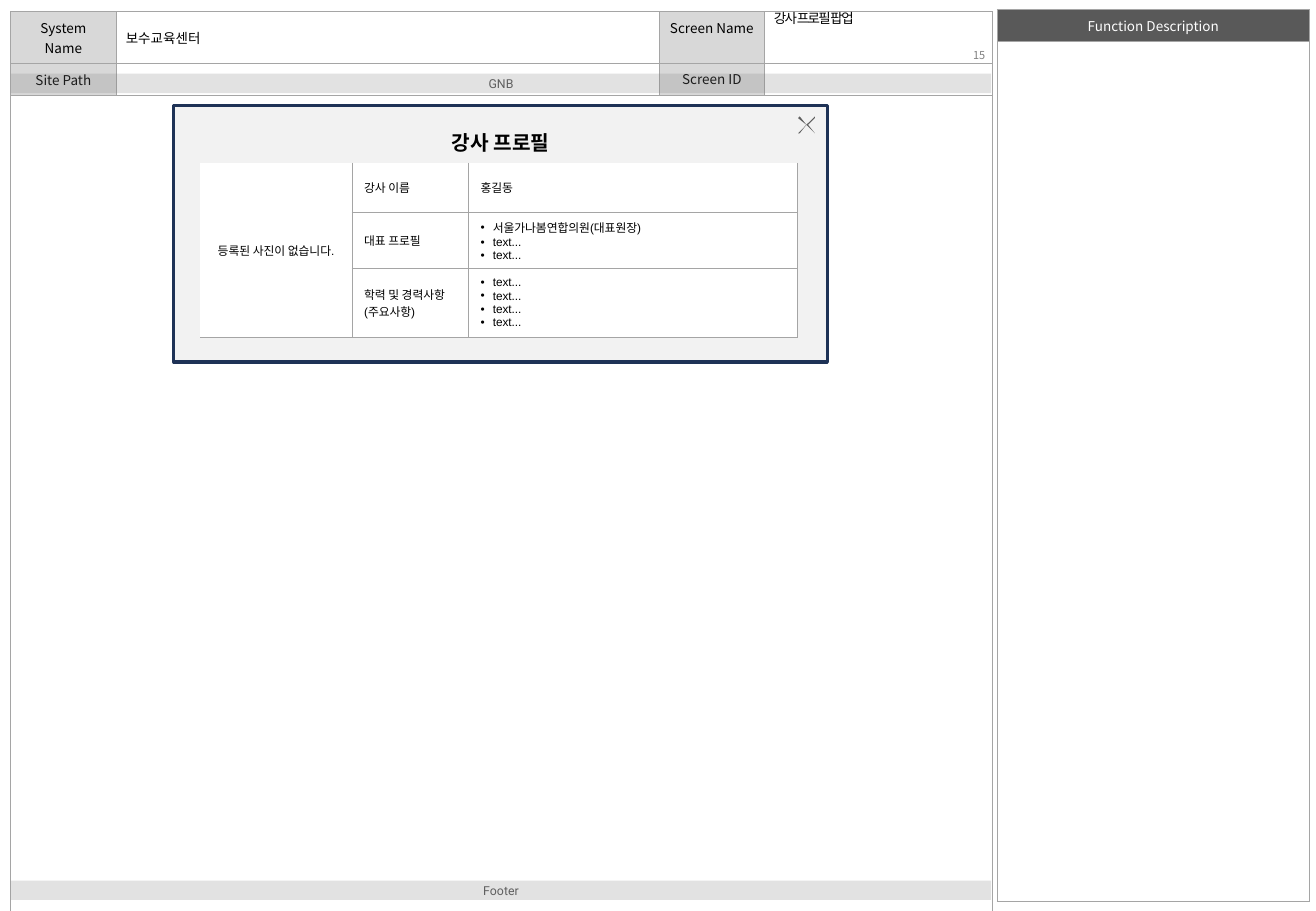
"""Build the instructor profile popup page of a screen plan."""
from dataclasses import dataclass

from lxml.etree import SubElement
from pptx import Presentation
from pptx.dml.color import RGBColor
from pptx.enum.shapes import MSO_SHAPE
from pptx.enum.text import MSO_ANCHOR, MSO_AUTO_SIZE, PP_ALIGN
from pptx.oxml import parse_xml
from pptx.oxml.ns import nsdecls, qn
from pptx.shapes.autoshape import Shape
from pptx.slide import Slide
from pptx.table import _Cell
from pptx.text.text import TextFrame
from pptx.util import Pt

BLACK = RGBColor(0x00, 0x00, 0x00)
WHITE = RGBColor(0xFF, 0xFF, 0xFF)
DARK = RGBColor(0x59, 0x59, 0x59)
SLATE = RGBColor(0x5F, 0x5F, 0x5F)
GREY = RGBColor(0x7F, 0x7F, 0x7F)
LABEL = RGBColor(0xD8, 0xD8, 0xD8)
PANEL = RGBColor(0xF2, 0xF2, 0xF2)
NAVY = RGBColor(0x1E, 0x32, 0x56)
RULE = RGBColor(0xA5, 0xA5, 0xA5)
NOTO = "Noto Sans CJK KR"
TIGHT = (5.76, 2.88, 5.76, 2.88)
SNUG = (5.76, 3.6, 5.76, 3.6)
WIDE = (7.2, 3.6, 7.2, 3.6)


@dataclass
class Item:
    """Describe one table cell."""
    row: int
    col: int
    text: str
    fill: RGBColor | None = None
    color: RGBColor = BLACK
    align: PP_ALIGN = PP_ALIGN.LEFT
    anchor: MSO_ANCHOR = MSO_ANCHOR.MIDDLE
    pad: tuple[float, ...] = SNUG
    bullet: bool = False


@dataclass
class Grid:
    """Describe one table."""
    left: float
    top: float
    cols: list[float]
    rows: list[float]
    items: list[Item]
    font: str = NOTO
    size: float = 8
    line: float = 0.75
    span: tuple[int, int, int, int] | None = None
    open: bool = False


@dataclass
class Band:
    """Describe one translucent page band."""
    top: float
    text: str


def write(frame: TextFrame, text: str, *, size: float, font: str = NOTO,
          color: RGBColor = BLACK, bold: bool = False, align: PP_ALIGN = PP_ALIGN.LEFT,
          anchor: MSO_ANCHOR = MSO_ANCHOR.MIDDLE, pad: tuple[float, ...] | None = None,
          wrap: bool = True, bullet: bool = False, track: float = 0,
          space: float | None = None) -> None:
    """Put formatted text in a frame."""
    frame.auto_size = MSO_AUTO_SIZE.NONE
    frame.word_wrap = wrap
    frame.vertical_anchor = anchor
    if pad:
        (frame.margin_left, frame.margin_top,
         frame.margin_right, frame.margin_bottom) = map(Pt, pad)
    frame.text = text
    for para in frame.paragraphs:
        para.alignment = align
        if space:
            para.line_spacing = space
        if bullet:
            props = para._p.get_or_add_pPr()
            props.set("marL", str(Pt(7.2)))
            props.set("indent", str(-Pt(7.2)))
            SubElement(props, qn("a:buFont"), typeface="Arial")
            SubElement(props, qn("a:buChar"), char="•")
        for run in para.runs:
            face = run.font
            face.size, face.name, face.bold = Pt(size), font, bold
            face.color.rgb = color
            mark = run._r.get_or_add_rPr()
            SubElement(mark, qn("a:ea"), typeface=NOTO)
            if track:
                mark.set("spc", str(round(track * 100)))
        if not para.runs:
            SubElement(para._p, qn("a:endParaRPr"), sz=str(round(size * 100)))


def edge(cell: _Cell, width: float, hide: str) -> None:
    """Draw the borders of a cell, except the hidden sides."""
    props = cell._tc.get_or_add_tcPr()
    for spot, side in enumerate("LRTB"):
        paint = ("<a:noFill/>" if side in hide else
                 f'<a:solidFill><a:srgbClr val="{RULE}"/></a:solidFill>')
        props.insert(spot, parse_xml(
            f'<a:ln{side} {nsdecls("a")} w="{Pt(width)}">{paint}</a:ln{side}>'))


def draw_grid(slide: Slide, grid: Grid) -> None:
    """Draw a table."""
    table = slide.shapes.add_table(
        len(grid.rows), len(grid.cols), Pt(grid.left), Pt(grid.top),
        Pt(sum(grid.cols)), Pt(sum(grid.rows))).table
    table.first_row = table.horz_banding = False
    for col, width in zip(table.columns, grid.cols):
        col.width = Pt(width)
    for row, height in zip(table.rows, grid.rows):
        row.height = Pt(height)
    if grid.span:
        top, left, low, right = grid.span
        table.cell(top, left).merge(table.cell(low, right))
    found = {(item.row, item.col): item for item in grid.items}
    for row in range(len(grid.rows)):
        for col in range(len(grid.cols)):
            cell = table.cell(row, col)
            item = found.get((row, col), Item(row, col, ""))
            (cell.margin_left, cell.margin_top,
             cell.margin_right, cell.margin_bottom) = map(Pt, item.pad)
            cell.vertical_anchor = item.anchor
            write(cell.text_frame, item.text, size=grid.size, font=grid.font,
                  color=item.color, align=item.align, anchor=item.anchor,
                  bullet=item.bullet)
            for child in cell._tc.txBody.findall(qn("a:bodyPr")):
                child.attrib.clear()
                for fit in list(child):
                    child.remove(fit)
            if item.fill is None:
                cell.fill.background()
            else:
                cell.fill.solid()
                cell.fill.fore_color.rgb = item.fill
            hide = ("L" if col == 0 else "") + ("T" if row == 0 else "")
            edge(cell, grid.line, hide if grid.open else "")


def draw_box(slide: Slide, left: float, top: float, width: float, height: float,
             fill: RGBColor) -> Shape:
    """Draw a plain filled box."""
    box = slide.shapes.add_shape(
        MSO_SHAPE.RECTANGLE, Pt(left), Pt(top), Pt(width), Pt(height))
    box.shadow.inherit = False
    box.fill.solid()
    box.fill.fore_color.rgb = fill
    box.line.fill.background()
    return box


def draw_band(slide: Slide, band: Band) -> None:
    """Draw a translucent band with its label."""
    box = draw_box(slide, 6.5, band.top, 581, 11.5, GREY)
    tint = box.element.spPr.find(qn("a:solidFill"))[0]
    SubElement(tint, qn("a:alpha"), val="22000")
    write(box.text_frame, band.text, size=7.3, font="Roboto", color=SLATE,
          align=PP_ALIGN.CENTER, pad=TIGHT)


def draw_cross(slide: Slide, mid: float, high: float, half: float, thin: float) -> None:
    """Draw the close mark."""
    arm = half - thin
    turns = [(1, 0), (0, 1), (-1, 0), (0, -1)]
    dots = [(mid + x * c - y * s, high + x * s + y * c) for c, s in turns
            for x, y in [(thin, 0), (half, arm), (arm, half)]]
    pen = slide.shapes.build_freeform(*dots[0], scale=float(Pt(1)))
    pen.add_line_segments(dots[1:], close=True)
    cross = pen.convert_to_shape()
    cross.shadow.inherit = False
    cross.fill.solid()
    cross.fill.fore_color.rgb = SLATE
    cross.line.fill.background()


def main() -> None:
    """Build and save the page."""
    deck = Presentation()
    deck.slide_width, deck.slide_height = Pt(780), Pt(540)
    slide = deck.slides.add_slide(deck.slide_layouts[5])
    mid, top = PP_ALIGN.CENTER, MSO_ANCHOR.TOP
    draw_grid(slide, Grid(591.2, 5.7, [185], [19, 509.6], [
        Item(0, 0, "Function Description", DARK, WHITE, mid, top)]))
    draw_grid(slide, Grid(6.4, 6.9, [62.4, 322, 62.4, 135], [30.2, 19, 491.8], [
        Item(0, 0, "System Name", LABEL, align=mid),
        Item(0, 1, "보수교육센터"),
        Item(0, 2, "Screen Name", LABEL, align=mid, anchor=top),
        Item(1, 0, "Site Path", LABEL, align=mid),
        Item(1, 2, "Screen ID", LABEL, align=mid, anchor=top)], span=(2, 0, 2, 3)))
    for band in [Band(43.7, "GNB"), Band(522, "Footer")]:
        draw_band(slide, band)
    page = slide.shapes.add_textbox(Pt(571), Pt(24.5), Pt(24.5), Pt(16.5))
    write(page.text_frame, "15", size=6.5, color=GREY, pad=TIGHT)
    name = slide.shapes.add_textbox(Pt(452.9), Pt(7.2), Pt(135.4), Pt(16.5))
    write(name.text_frame, "강사 프로필 팝업", size=8, pad=(5.76, 2.88, 5.76, 11.5),
          wrap=False, track=-1, space=0.9)
    popup = draw_box(slide, 103, 62.6, 387.4, 151.9, PANEL)
    popup.line.color.rgb, popup.line.width = NAVY, Pt(2)
    draw_cross(slide, 478.4, 74.1, 5, 0.4)
    title = slide.shapes.title
    slide.shapes.element.append(title.element)
    title.left, title.top, title.width, title.height = map(Pt, (103.7, 73.4, 385.9, 21.6))
    write(title.text_frame, "강사 프로필", size=12, font="Arial", bold=True, align=mid, pad=WIDE)
    draw_grid(slide, Grid(118.6, 96.6, [90, 69.1, 195.1], [29.3, 32, 41], [
        Item(0, 0, "등록된 사진이 없습니다.", WHITE, align=mid, pad=(0, 3.6, 0, 3.6)),
        Item(0, 1, "강사 이름", WHITE, pad=WIDE),
        Item(0, 2, "홍길동", WHITE, pad=WIDE),
        Item(1, 1, "대표 프로필", WHITE, pad=WIDE),
        Item(1, 2, "서울가나봄연합의원(대표원장)\ntext...\ntext...", WHITE, pad=WIDE, bullet=True),
        Item(2, 1, "학력 및 경력사항\n(주요사항)", WHITE, pad=WIDE),
        Item(2, 2, "\n".join(["text..."] * 4), WHITE, pad=WIDE, bullet=True)],
        font="Arial", size=7, line=0.5, span=(0, 0, 2, 0), open=True))
    deck.save("out.pptx")


if __name__ == "__main__":
    main()
